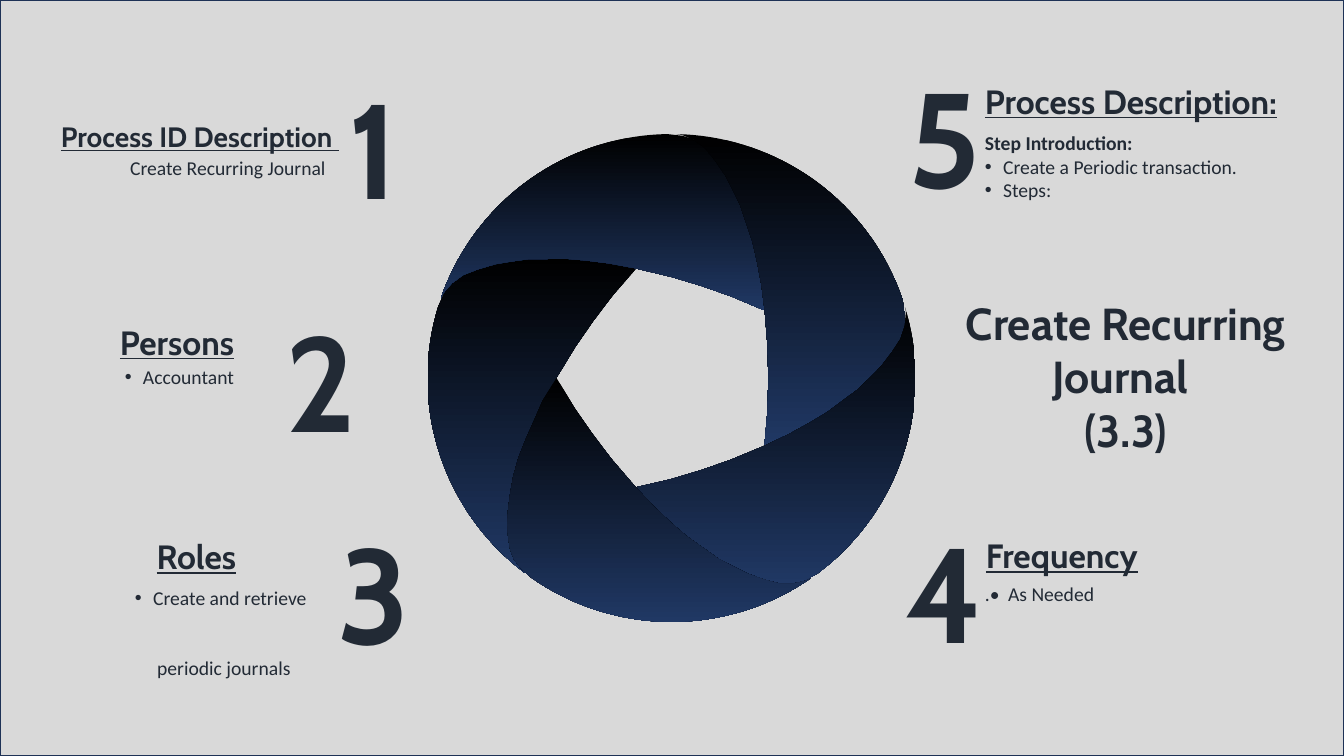
from dataclasses import dataclass
from math import cos, radians, sin

from lxml import etree
from pptx import Presentation
from pptx.dml.color import RGBColor
from pptx.enum.shapes import MSO_SHAPE
from pptx.enum.text import PP_ALIGN
from pptx.oxml.ns import qn
from pptx.util import Inches, Pt

LEFT, CENTER, RIGHT = PP_ALIGN.LEFT, PP_ALIGN.CENTER, PP_ALIGN.RIGHT
RECTANGLE = MSO_SHAPE.RECTANGLE

SLIDE_WIDTH, SLIDE_HEIGHT = 13.33, 7.5
INK, BACKDROP, BORDER = "222A35", "D9D9D9", "1E3256"
BLADE_TOP, BLADE_BOTTOM = "000000", "203864"

RING_X, RING_Y, RING_RADIUS = 6.66, 3.75, 2.42
BLADE_COUNT = 5
INNER_EDGE = [
    (-1.14, 0), (-0.96, 0.3), (-0.78, 0.56), (-0.59, 0.81), (-0.35, 1.09),
    (-0.17, 1.28), (0, 1.44), (0.15, 1.57), (0.46, 1.79), (0.61, 1.87),
    (0.75, 1.94), (0.92, 2), (1.07, 2.04), (1.21, 2.04), (1.34, 2.01),
]
OUTER_EDGE = [
    (RING_RADIUS * cos(radians(angle)), RING_RADIUS * sin(radians(angle)))
    for angle in range(55, 126, 2)
]
TAIL_EDGE = [
    (-1.5, 1.88), (-1.56, 1.8), (-1.6, 1.7), (-1.62, 1.58), (-1.63, 1.45),
    (-1.62, 1.3), (-1.6, 1.15), (-1.57, 0.98), (-1.52, 0.8), (-1.45, 0.62),
    (-1.37, 0.44), (-1.28, 0.23),
]
BLADE_OUTLINE = INNER_EDGE + OUTER_EDGE + TAIL_EDGE


@dataclass
class Line:
    text: str
    bold: bool = False
    bullet: bool = False
    margin: float = 0
    hanging: float = 0
    space_before: float = 0


@dataclass
class Label:
    left: float
    top: float
    width: float
    height: float
    lines: list[Line]
    size: float = 14
    font: str = "Calibri"
    align: PP_ALIGN = LEFT
    underline: bool = False


def heading(left: float, top: float, width: float, text: str,
            align: PP_ALIGN = LEFT, size: float = 24) -> Label:
    return Label(left, top, width, 0.5, [Line(text, bold=True)], size, "Cabin", align, True)


def number(left: float, top: float, text: str) -> Label:
    return Label(left, top, 0.99, 1.72, [Line(text, bold=True)], 96, "Cabin", CENTER)


def bullet(text: str, margin: float = 0.18) -> Line:
    return Line(text, bullet=True, margin=margin, hanging=0.18)


LABELS = [
    heading(0.3, 1.14, 3.16, "Process ID Description ", RIGHT, 20),
    Label(1.05, 1.5, 2.28, 0.34, [Line("Create Recurring Journal")], align=RIGHT),
    number(3.21, 0.6, "1"),
    heading(0.32, 3.14, 2.1, "Persons", RIGHT),
    Label(1.14, 3.57, 2.1, 0.34, [bullet("Accountant")]),
    number(2.69, 2.91, "2"),
    heading(0.34, 5.27, 2.1, "Roles", RIGHT),
    Label(1.19, 5.76, 2.01, 0.81, [
        bullet("Create and retrieve", 0.23),
        Line("periodic journals", margin=0.27, space_before=33.5),
    ]),
    number(3.21, 5.01, "3"),
    heading(9.67, 0.75, 3.47, "Process Description:"),
    Label(9.67, 1.25, 3.51, 0.81, [
        Line("Step Introduction:", bold=True),
        bullet("Create a Periodic transaction."),
        bullet("Steps:"),
    ]),
    number(8.87, 0.49, "5"),
    heading(9.68, 5.26, 2.1, "Frequency"),
    Label(9.67, 5.72, 2.65, 0.34, [Line(".•\tAs Needed", margin=0.23, hanging=0.23)]),
    number(8.87, 5, "4"),
    Label(9.15, 2.88, 4.03, 1.72, [
        Line("Create Recurring Journal ", bold=True),
        Line("(3.3)", bold=True),
    ], 32, "Cabin", CENTER),
]


def color(value: str) -> RGBColor:
    return RGBColor.from_string(value)


def add_backdrop(page) -> None:
    backdrop = page.shapes.add_shape(
        RECTANGLE, 0, 0, Inches(SLIDE_WIDTH), Inches(SLIDE_HEIGHT))
    backdrop.shadow.inherit = False
    backdrop.fill.solid()
    backdrop.fill.fore_color.rgb = color(BACKDROP)
    backdrop.line.color.rgb = color(BORDER)
    backdrop.line.width = Pt(1)


def add_blade(page, turn: float) -> None:
    cosine, sine = cos(radians(turn)), sin(radians(turn))
    points = [
        (Inches(RING_X + x * cosine - y * sine), Inches(RING_Y + x * sine + y * cosine))
        for x, y in BLADE_OUTLINE
    ]
    builder = page.shapes.build_freeform(*points[0])
    builder.add_line_segments(points[1:], close=True)
    blade = builder.convert_to_shape()
    blade.shadow.inherit = False
    blade.line.fill.background()
    blade.fill.gradient()
    blade.fill.gradient_angle = 270
    for stop, shade in zip(blade.fill.gradient_stops, (BLADE_TOP, BLADE_BOTTOM)):
        stop.color.rgb = color(shade)


def indent_paragraph(para, line: Line) -> None:
    properties = para._p.get_or_add_pPr()
    properties.set("marL", str(Inches(line.margin)))
    properties.set("indent", str(-Inches(line.hanging)))
    if line.bullet:
        etree.SubElement(properties, qn("a:buFont"), typeface="Arial")
        etree.SubElement(properties, qn("a:buChar"), char="•")


def add_label(page, label: Label) -> None:
    box = page.shapes.add_textbox(
        Inches(label.left), Inches(label.top), Inches(label.width), Inches(label.height))
    frame = box.text_frame
    frame.word_wrap = True
    for index, line in enumerate(label.lines):
        para = frame.add_paragraph() if index else frame.paragraphs[0]
        para.alignment = label.align
        if line.margin:
            indent_paragraph(para, line)
        if line.space_before:
            para.space_before = Pt(line.space_before)
        span = para.add_run()
        span.text = line.text
        span.font.name = label.font
        span.font.size = Pt(label.size)
        span.font.bold = line.bold
        span.font.underline = label.underline
        span.font.color.rgb = color(INK)


def main() -> None:
    deck = Presentation()
    deck.slide_width, deck.slide_height = Inches(SLIDE_WIDTH), Inches(SLIDE_HEIGHT)
    page = deck.slides.add_slide(deck.slide_layouts[6])
    add_backdrop(page)
    for step in range(1, BLADE_COUNT + 1):
        add_blade(page, step * 360 / BLADE_COUNT)
    for label in LABELS:
        add_label(page, label)
    deck.save("out.pptx")


if __name__ == "__main__":
    main()
